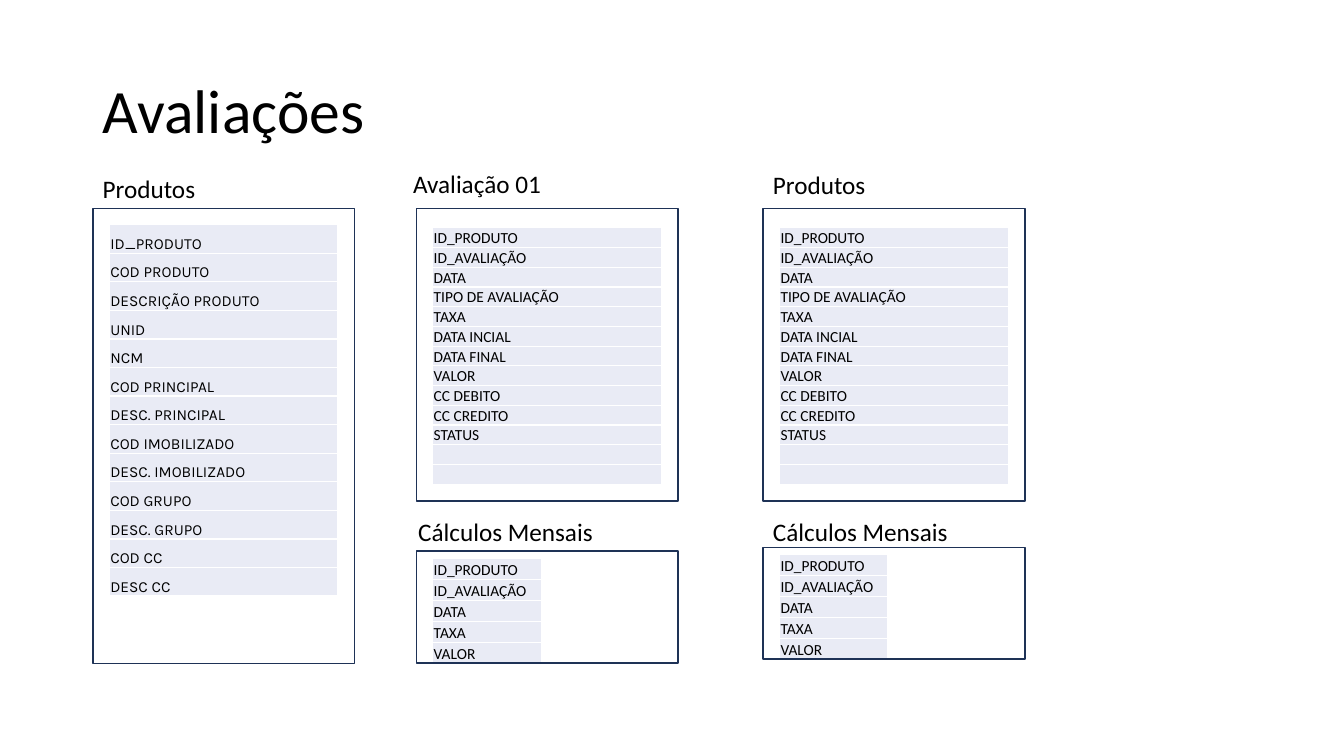
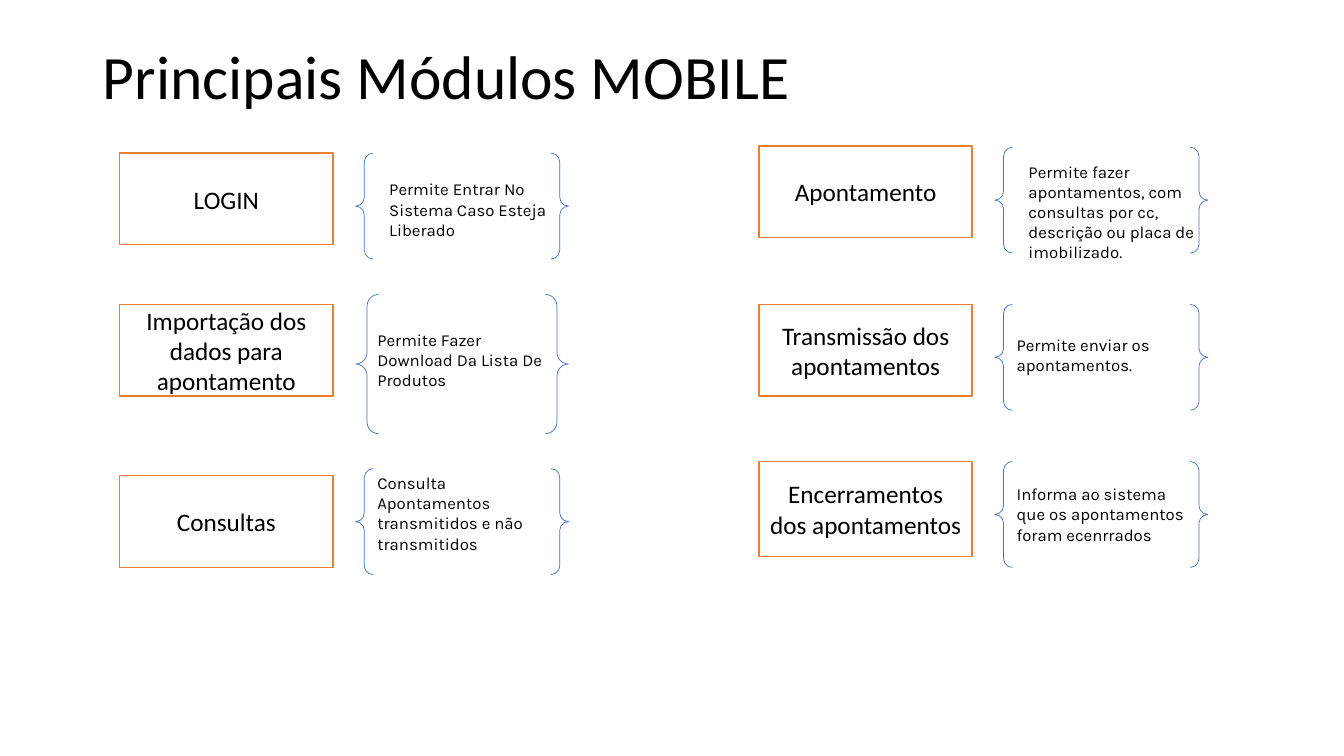
from dataclasses import dataclass

from lxml import etree
from pptx import Presentation
from pptx.dml.color import RGBColor
from pptx.enum.shapes import MSO_SHAPE as Shp
from pptx.enum.text import MSO_ANCHOR as Anchor, MSO_AUTO_SIZE as AutoSize, PP_ALIGN as Align
from pptx.oxml.ns import qn
from pptx.shapes.autoshape import Shape
from pptx.slide import Slide
from pptx.table import _Cell as Cell
from pptx.util import Cm, Pt

BLACK = RGBColor(0x00, 0x00, 0x00)
WHITE = RGBColor(0xFF, 0xFF, 0xFF)
NAVY = RGBColor(0x1E, 0x32, 0x56)
ORANGE = RGBColor(0xED, 0x7D, 0x31)
BLUE = RGBColor(0x44, 0x72, 0xC4)
ROW_FILL = RGBColor(0xE9, 0xEB, 0xF5)

SANS = "Calibri"
KARLA = "Karla"
TITLE_ONLY = 5
FIELD_SIZE = 11

PANEL_W = 6.6
CAPTION_W = 5.77
CAPTION_H = 1.02
TABLE_INSET = 0.41

BOX_W = 5.37
BRACE_OFFSET = 5.94
NOTE_W = 4.75
LEFT_COL, RIGHT_COL = 3.02, 19.13

PRODUCT_FIELDS = (
    "ID_PRODUTO", "COD PRODUTO", "DESCRIÇÃO PRODUTO", "UNID", "NCM",
    "COD PRINCIPAL", "DESC. PRINCIPAL", "COD IMOBILIZADO", "DESC. IMOBILIZADO",
    "COD GRUPO", "DESC. GRUPO", "COD CC", "DESC CC",
)
EVALUATION_FIELDS = (
    "ID_PRODUTO", "ID_AVALIAÇÃO", "DATA", "TIPO DE AVALIAÇÃO", "TAXA",
    "DATA INCIAL", "DATA FINAL", "VALOR", "CC DEBITO", "CC CREDITO", "STATUS",
    "", "",
)
MONTHLY_FIELDS = ("ID_PRODUTO", "ID_AVALIAÇÃO", "DATA", "TAXA", "VALOR")


@dataclass(frozen=True)
class FieldSet:
    """The kind of field table that a panel holds; lengths in cm."""
    fields: tuple[str, ...]
    font: str
    panel_h: float
    table_dy: float
    table_w: float
    row_h: float


@dataclass(frozen=True)
class Panel:
    caption: str
    caption_left: float
    caption_top: float
    left: float
    top: float
    content: FieldSet


@dataclass(frozen=True)
class Module:
    """A named box, its pair of braces and the note between them; lengths in cm."""
    name: str
    note: str
    left: float
    box_top: float
    brace_top: float
    note_top: float
    note_h: float
    note_dx: float = 0.3
    box_h: float = 2.31
    brace_h: float = 2.67


PRODUCT = FieldSet(PRODUCT_FIELDS, KARLA, 11.46, 0.4, 5.77, 0.72)
EVALUATION = FieldSet(EVALUATION_FIELDS, SANS, 7.37, 0.48, 5.77, 0.49)
MONTHLY = FieldSet(MONTHLY_FIELDS, SANS, 2.82, 0.18, 2.74, 0.53)

PANELS = (
    Panel("Produtos", 2.34, 4.24, 2.34, 5.26, PRODUCT),
    Panel("Avaliação 01", 10.16, 4.11, 10.49, 5.26, EVALUATION),
    Panel("Produtos", 19.23, 4.14, 19.23, 5.26, EVALUATION),
    Panel("Cálculos Mensais", 10.29, 12.88, 10.49, 13.89, MONTHLY),
    Panel("Cálculos Mensais", 19.23, 12.88, 19.23, 13.79, MONTHLY),
)

MODULES = (
    Module("LOGIN", "Permite Entrar No Sistema Caso Esteja Liberado",
           LEFT_COL, 3.86, 3.86, 4.39, 1.8, note_dx=0.6),
    Module("Importação dos dados para apontamento",
           "Permite Fazer Download Da Lista De Produtos",
           LEFT_COL, 7.67, 7.42, 8.18, 1.8, brace_h=3.51),
    Module("Consultas", "Consulta Apontamentos transmitidos e não transmitidos",
           LEFT_COL, 11.99, 11.81, 11.79, 2.31),
    Module("Apontamento",
           "Permite fazer apontamentos, com consultas por cc, descrição ou placa de imobilizado.",
           RIGHT_COL, 3.68, 3.71, 3.94, 2.82, note_dx=0.6),
    Module("Transmissão dos apontamentos", "Permite enviar os apontamentos.",
           RIGHT_COL, 7.67, 7.67, 8.31, 1.27),
    Module("Encerramentos dos apontamentos",
           "Informa ao sistema que os apontamentos foram ecenrrados",
           RIGHT_COL, 11.63, 11.63, 12.07, 1.8, box_h=2.39),
)


def add_run(p, text: str, size: float, font: str = SANS) -> None:
    r = p.add_run()
    r.text = text
    r.font.size = Pt(size)
    r.font.name = font
    r.font.color.rgb = BLACK


def add_titled_slide(prs, title: str, height: float) -> Slide:
    s = prs.slides.add_slide(prs.slide_layouts[TITLE_ONLY])
    sp = s.shapes.title
    sp.left, sp.top, sp.width, sp.height = Cm(2.34), Cm(1.02), Cm(29.21), Cm(height)
    tf = sp.text_frame
    tf.auto_size = AutoSize.NONE
    tf.vertical_anchor = Anchor.MIDDLE
    p = tf.paragraphs[0]
    p.alignment = Align.LEFT
    p.line_spacing = 0.9
    add_run(p, title, 44)
    return s


def add_text(s: Slide, text: str, left: float, top: float, width: float,
             height: float, size: float, font: str = SANS) -> None:
    tf = s.shapes.add_textbox(Cm(left), Cm(top), Cm(width), Cm(height)).text_frame
    tf.word_wrap = True
    tf.auto_size = AutoSize.SHAPE_TO_FIT_TEXT
    add_run(tf.paragraphs[0], text, size, font)


def add_outline(s: Slide, kind: Shp, left: float, top: float, width: float,
                height: float, color: RGBColor, weight: float = 1) -> Shape:
    sp = s.shapes.add_shape(kind, Cm(left), Cm(top), Cm(width), Cm(height))
    sp.shadow.inherit = False
    sp.fill.background()
    sp.line.color.rgb = color
    sp.line.width = Pt(weight)
    return sp


def set_borders(cell: Cell, color: RGBColor) -> None:
    tc_pr = cell._tc.get_or_add_tcPr()
    for side in ("lnL", "lnR", "lnT", "lnB"):
        ln = etree.SubElement(tc_pr, qn(f"a:{side}"), w=str(Pt(1)))
        fill = etree.SubElement(ln, qn("a:solidFill"))
        etree.SubElement(fill, qn("a:srgbClr"), val=str(color))


def fill_cell(cell: Cell, text: str, font: str) -> None:
    set_borders(cell, WHITE)
    cell.fill.solid()
    cell.fill.fore_color.rgb = ROW_FILL
    cell.margin_left = cell.margin_right = cell.margin_top = Cm(0.03)
    cell.margin_bottom = 0
    cell.vertical_anchor = Anchor.BOTTOM
    p = cell.text_frame.paragraphs[0]
    if text:
        add_run(p, text, FIELD_SIZE, font)
    else:
        # An empty row takes its height from the end-of-paragraph size.
        etree.SubElement(p._p, qn("a:endParaRPr"), sz=str(FIELD_SIZE * 100))


def add_field_table(s: Slide, content: FieldSet, left: float, top: float) -> None:
    rows = len(content.fields)
    table = s.shapes.add_table(rows, 1, Cm(left), Cm(top), Cm(content.table_w),
                               Cm(content.row_h * rows)).table
    table.first_row = table.horz_banding = False
    for i, field in enumerate(content.fields):
        fill_cell(table.cell(i, 0), field, content.font)


def add_panel(s: Slide, panel: Panel) -> None:
    content = panel.content
    add_field_table(s, content, panel.left + TABLE_INSET, panel.top + content.table_dy)
    add_outline(s, Shp.RECTANGLE, panel.left, panel.top, PANEL_W, content.panel_h, NAVY)
    add_text(s, panel.caption, panel.caption_left, panel.caption_top,
             CAPTION_W, CAPTION_H, 18)


def add_module(s: Slide, module: Module) -> None:
    box = add_outline(s, Shp.RECTANGLE, module.left, module.box_top,
                      BOX_W, module.box_h, ORANGE)
    box.fill.solid()
    box.fill.fore_color.rgb = WHITE
    tf = box.text_frame
    tf.word_wrap = True
    tf.vertical_anchor = Anchor.MIDDLE
    tf.margin_top = tf.margin_bottom = 0
    p = tf.paragraphs[0]
    p.alignment = Align.CENTER
    add_run(p, module.name, 18)

    brace_left = module.left + BRACE_OFFSET
    add_outline(s, Shp.DOUBLE_BRACE, brace_left, module.brace_top,
                BOX_W, module.brace_h, BLUE, 0.5)
    add_text(s, module.note, brace_left + module.note_dx, module.note_top,
             NOTE_W, module.note_h, 12, KARLA)


def main() -> None:
    prs = Presentation()
    prs.slide_width, prs.slide_height = Cm(33.87), Cm(19.05)

    s = add_titled_slide(prs, "Avaliações", 3.68)
    for panel in PANELS:
        add_panel(s, panel)

    s = add_titled_slide(prs, "Principais Módulos MOBILE", 1.96)
    for module in MODULES:
        add_module(s, module)

    prs.save("out.pptx")


if __name__ == "__main__":
    main()
